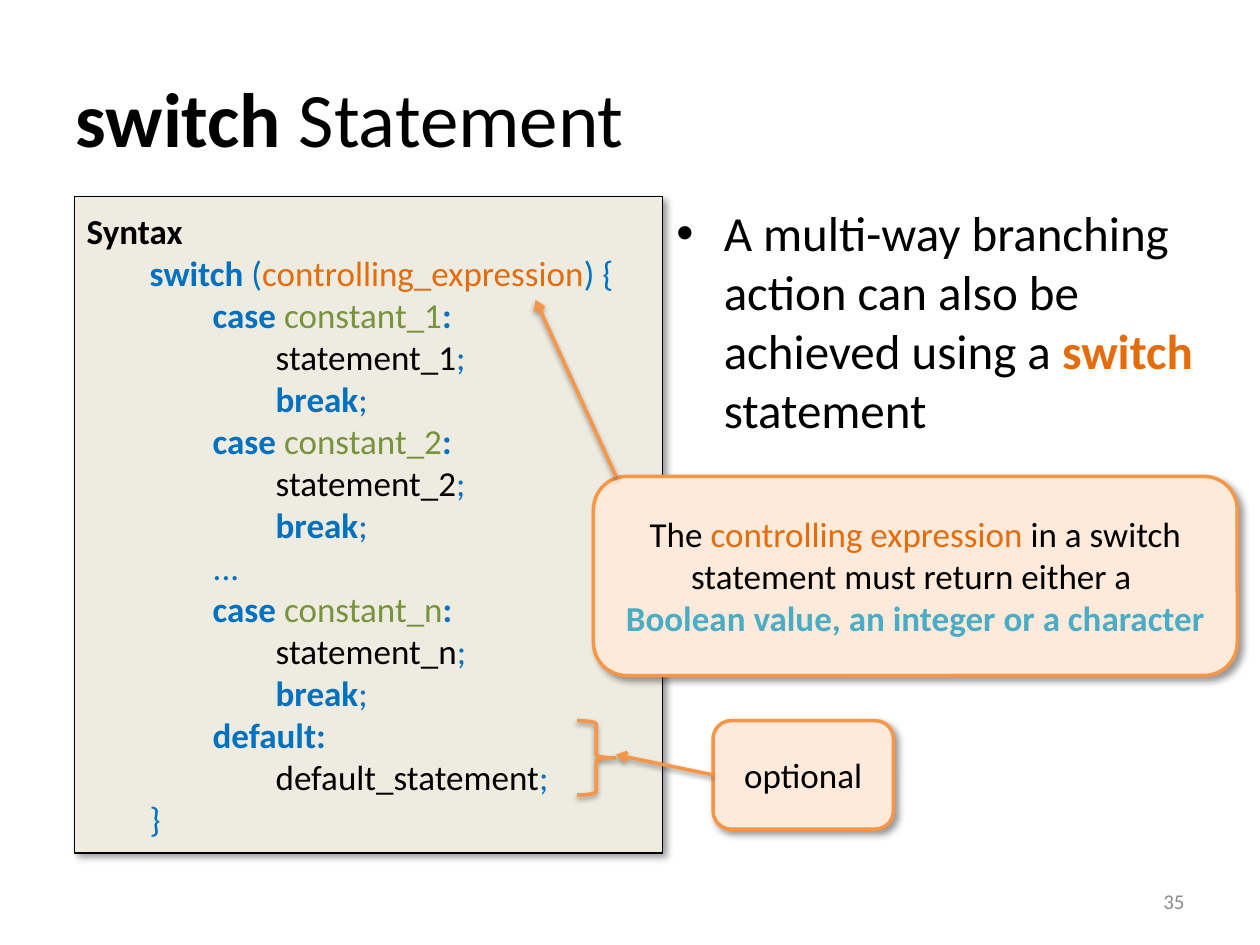
from pptx import Presentation
from pptx.dml.color import RGBColor
from pptx.enum.shapes import MSO_CONNECTOR as Connector, MSO_SHAPE as Shape
from pptx.enum.text import MSO_ANCHOR as Anchor, PP_ALIGN as Align
from pptx.oxml.ns import qn
from pptx.util import Pt
from lxml.etree import SubElement

FONT = "Calibri"
BLACK = RGBColor(0x00, 0x00, 0x00)
GRAY = RGBColor(0x8C, 0x8C, 0x8C)
BLUE = RGBColor(0x00, 0x70, 0xC0)
GREEN = RGBColor(0x77, 0x93, 0x3C)
TEAL = RGBColor(0x4B, 0xAC, 0xC6)
DARK_ORANGE = RGBColor(0xE4, 0x6C, 0x0A)
ORANGE = RGBColor(0xF7, 0x96, 0x46)
PEACH = RGBColor(0xFD, 0xEA, 0xDA)
BEIGE = RGBColor(0xEE, 0xEC, 0xE1)

# Shadows: opacity in percent, blur and distance in points, angle in degrees
BOX_SHADOW = (40, 4, 3, 45)
LINE_SHADOW = (38, 3.1, 1.6, 90)


def add_shadow(item, opacity, blur, distance, angle):
    effects = SubElement(item._element.spPr, qn("a:effectLst"))
    shadow = SubElement(effects, qn("a:outerShdw"), blurRad=str(Pt(blur)),
                        dist=str(Pt(distance)), dir=str(angle * 60000),
                        algn="tl", rotWithShape="0")
    color = SubElement(shadow, qn("a:srgbClr"), val=str(BLACK))
    SubElement(color, qn("a:alpha"), val=str(opacity * 1000))


def add_span(para, text, size, color=BLACK, bold=False):
    span = para.add_run()
    span.text = text
    font = span.font
    font.name, font.size, font.bold = FONT, Pt(size), bold
    font.color.rgb = color


def write(box, lines, size, align=Align.LEFT, anchor=Anchor.MIDDLE):
    """Fill a box with lines, each a list of (text, color, bold) spans."""
    frame = box.text_frame
    frame.word_wrap = True
    frame.vertical_anchor = anchor
    for number, spans in enumerate(lines):
        para = frame.add_paragraph() if number else frame.paragraphs[0]
        para.alignment = align
        for span in spans:
            if span is None:
                para.add_line_break()
            else:
                text, *style = span
                add_span(para, text, size, *style)


def add_text(page, place, lines, size, **layout):
    box = page.shapes.add_textbox(*map(Pt, place))
    write(box, lines, size, **layout)
    return box


def add_outline(page, kind, place, fill, line, width, shadow):
    shape = page.shapes.add_shape(kind, *map(Pt, place))
    if fill is None:
        shape.fill.background()
    else:
        shape.fill.solid()
        shape.fill.fore_color.rgb = fill
    shape.line.color.rgb = line
    shape.line.width = Pt(width)
    add_shadow(shape, *shadow)
    return shape


def add_callout(page, place, spans):
    callout = add_outline(page, Shape.ROUNDED_RECTANGLE, place,
                          PEACH, ORANGE, 2, BOX_SHADOW)
    write(callout, [spans], 20, align=Align.CENTER)
    return callout


def add_arrow(page, start, end):
    arrow = page.shapes.add_connector(Connector.STRAIGHT, *map(Pt, start + end))
    arrow.line.color.rgb = ORANGE
    arrow.line.width = Pt(2)
    SubElement(arrow.line._get_or_add_ln(), qn("a:tailEnd"), type="arrow")
    add_shadow(arrow, *LINE_SHADOW)
    return arrow


def add_bullet(para, indent):
    properties = para._p.get_or_add_pPr()
    properties.set("marL", str(Pt(indent)))
    properties.set("indent", str(-Pt(indent)))
    color = SubElement(properties, qn("a:buClr"))
    SubElement(color, qn("a:srgbClr"), val=str(BLACK))
    SubElement(properties, qn("a:buFont"), typeface="Arial")
    SubElement(properties, qn("a:buChar"), char="•")


def statement(name):
    return [("\t\t\t", BLUE), (name,), (";", BLUE)]


def case(suffix):
    return [
        [("\t\t", BLUE), ("case ", BLUE, True),
         (f"constant_{suffix}", GREEN), (":", BLUE, True)],
        statement(f"statement_{suffix}"),
        [("\t\t\t", BLUE), ("break", BLUE, True), (";", BLUE)],
    ]


def syntax_lines():
    return [
        [("Syntax", BLACK, True)],
        [("\t", BLUE), ("switch", BLUE, True), (" (", BLUE),
         ("controlling_expression", DARK_ORANGE), (") {", BLUE)],
        *case("1"),
        *case("2"),
        [("\t\t...", BLUE)],
        *case("n"),
        [("\t\t", BLUE), ("default:", BLUE, True)],
        statement("default_statement"),
        [("\t}", BLUE)],
    ]


def main():
    deck = Presentation()
    deck.slide_width, deck.slide_height = Pt(720), Pt(540)
    page = deck.slides.add_slide(deck.slide_layouts[6])

    # Title
    add_text(page, (36, 21.6, 648, 90),
             [[("switch", BLACK, True), (" Statement",)]], 44)

    # Explanation
    body = add_text(page, (379.5, 112.3, 319, 378.7),
                    [[("A multi-way branching action can also be achieved using a ",),
                      ("switch ", DARK_ORANGE, True), ("statement",)]],
                    28, anchor=Anchor.TOP)
    add_bullet(body.text_frame.paragraphs[0], 27)

    # Syntax panel
    panel = add_outline(page, Shape.RECTANGLE, (42.5, 112.3, 336.2, 375.1),
                        BEIGE, BLACK, 0.75, BOX_SHADOW)
    write(panel, syntax_lines(), 20)

    # Note on the controlling expression
    add_callout(page, (339.1, 272.2, 367.9, 113.8), [
        ("The ",), ("controlling expression ", DARK_ORANGE),
        ("in a switch statement must return either a ",), None,
        ("Boolean value, an integer or a character", TEAL, True)])
    add_arrow(page, (352, 272.2), (306, 171.4))

    # Note on the default branch
    optional = add_callout(page, (407.5, 411.8, 103, 62), [("optional",)])
    add_outline(page, Shape.RIGHT_BRACE, (329.8, 411.8, 21.6, 42.5),
                None, ORANGE, 2, LINE_SHADOW)
    arrow = add_arrow(page, (407.5, 442.8), (352, 431.3))
    arrow.begin_connect(optional, 1)

    # Page number
    add_text(page, (516.2, 500.4, 167.8, 28.8), [[("35", GRAY)]], 12,
             align=Align.RIGHT)

    deck.save("out.pptx")


if __name__ == "__main__":
    main()
